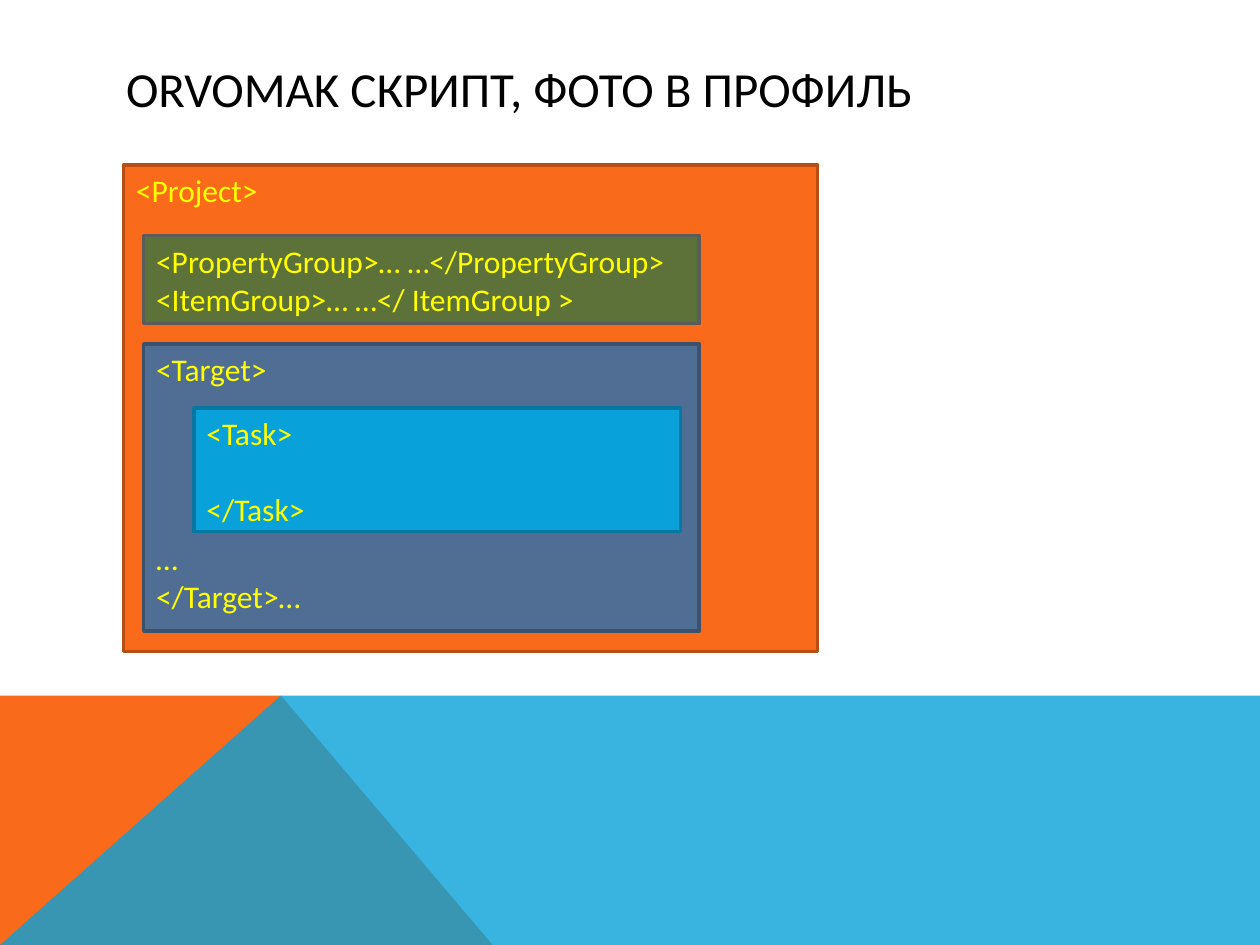
import dataclasses

import pptx
import pptx.dml.color
import pptx.enum.shapes
import pptx.enum.text
import pptx.oxml
import pptx.oxml.ns
import pptx.util

Inches = pptx.util.Inches
Pt = pptx.util.Pt

COLORS = {
    "orange": "F96A1B",
    "orange_edge": "B84E14",
    "green": "5D7238",
    "green_edge": "5A5B5D",
    "slate": "506E94",
    "slate_edge": "3B516D",
    "blue": "08A1D9",
    "blue_edge": "0677A1",
    "code": "FFFF00",
    "title": "000000",
}
CODE_LINE = 21.6
BAND_TOP = 5.52
BAND_PEAK = 2.23


@dataclasses.dataclass(frozen=True)
class CodeLine:
    text: str
    skipped_lines: int = 0


@dataclasses.dataclass(frozen=True)
class ScriptBlock:
    left: float
    top: float
    width: float
    height: float
    color: str
    lines: tuple[CodeLine, ...]


@dataclasses.dataclass(frozen=True)
class Band:
    corners: tuple[tuple[float, float], ...]
    color: str
    opacity: int = 100


BANDS = (
    Band(((0, 7.5), (0, BAND_TOP), (BAND_PEAK, BAND_TOP), (3.91, 7.5)), "orange"),
    Band(((0, 7.5), (BAND_PEAK, BAND_TOP), (10, BAND_TOP), (10, 7.5)), "blue", 80),
)

BLOCKS = (
    ScriptBlock(0.98, 1.31, 5.51, 3.86, "orange", (CodeLine("<Project>"),)),
    ScriptBlock(1.14, 1.87, 4.41, 0.7, "green", (
        CodeLine("<PropertyGroup>… …</PropertyGroup>"),
        CodeLine("<ItemGroup>… …</ ItemGroup >"),
    )),
    ScriptBlock(1.14, 2.73, 4.41, 2.28, "slate", (
        CodeLine("<Target>"),
        CodeLine("…", skipped_lines=4),
        CodeLine("</Target>…"),
    )),
    ScriptBlock(1.54, 3.24, 3.86, 0.98, "blue", (
        CodeLine("<Task>"),
        CodeLine("</Task>", skipped_lines=1),
    )),
)


def rgb(name: str) -> pptx.dml.color.RGBColor:
    return pptx.dml.color.RGBColor.from_string(COLORS[name])


def apply_format(target, values: dict) -> None:
    for attribute, value in values.items():
        setattr(target, attribute, value)


def write_line(paragraph, text: str, size: int, color: str) -> None:
    paragraph.alignment = pptx.enum.text.PP_ALIGN.LEFT
    run = paragraph.add_run()
    run.text = text
    apply_format(run.font, {"name": "Calibri", "size": Pt(size)})
    run.font.color.rgb = rgb(color)


def fill_shape(shape, color: str) -> None:
    shape.shadow.inherit = False
    shape.fill.solid()
    shape.fill.fore_color.rgb = rgb(color)


def draw_band(slide, band: Band) -> None:
    start, *others = [(Inches(x), Inches(y)) for x, y in band.corners]
    builder = slide.shapes.build_freeform(*start)
    builder.add_line_segments(others, close=True)
    shape = builder.convert_to_shape()
    fill_shape(shape, band.color)
    shape.line.fill.background()
    if band.opacity < 100:
        color_element = shape.element.spPr.find(
            "/".join(map(pptx.oxml.ns.qn, ("a:solidFill", "a:srgbClr")))
        )
        alpha = pptx.oxml.parse_xml(
            f'<a:alpha {pptx.oxml.ns.nsdecls("a")} val="{band.opacity * 1000}"/>'
        )
        color_element.append(alpha)


def draw_title(slide, text: str) -> None:
    title = slide.shapes.title
    apply_format(title, {
        "left": Inches(0.9),
        "top": Inches(0.4),
        "width": Inches(8.22),
        "height": Inches(0.6),
    })
    apply_format(title.text_frame, {
        "word_wrap": True,
        "auto_size": pptx.enum.text.MSO_AUTO_SIZE.NONE,
        "vertical_anchor": pptx.enum.text.MSO_ANCHOR.MIDDLE,
    })
    write_line(title.text_frame.paragraphs[0], text, 28, "title")


def draw_block(slide, block: ScriptBlock) -> None:
    shape = slide.shapes.add_shape(
        pptx.enum.shapes.MSO_SHAPE.RECTANGLE,
        Inches(block.left), Inches(block.top),
        Inches(block.width), Inches(block.height),
    )
    fill_shape(shape, block.color)
    shape.line.color.rgb = rgb(f"{block.color}_edge")
    shape.line.width = Pt(2)
    frame = shape.text_frame
    apply_format(frame, {
        "word_wrap": True,
        "vertical_anchor": pptx.enum.text.MSO_ANCHOR.TOP,
    })
    for index, line in enumerate(block.lines):
        paragraph = frame.add_paragraph() if index else frame.paragraphs[0]
        paragraph.space_before = Pt(line.skipped_lines * CODE_LINE)
        write_line(paragraph, line.text, 18, "code")


def main() -> None:
    presentation = pptx.Presentation()
    apply_format(presentation, {
        "slide_width": Inches(10),
        "slide_height": Inches(7.5),
    })
    slide = presentation.slides.add_slide(presentation.slide_layouts[5])
    for band in BANDS:
        draw_band(slide, band)
    draw_title(slide, "ORVOMAK СКРИПТ, ФОТО В ПРОФИЛЬ")
    for block in BLOCKS:
        draw_block(slide, block)
    presentation.save("out.pptx")


if __name__ == "__main__":
    main()
